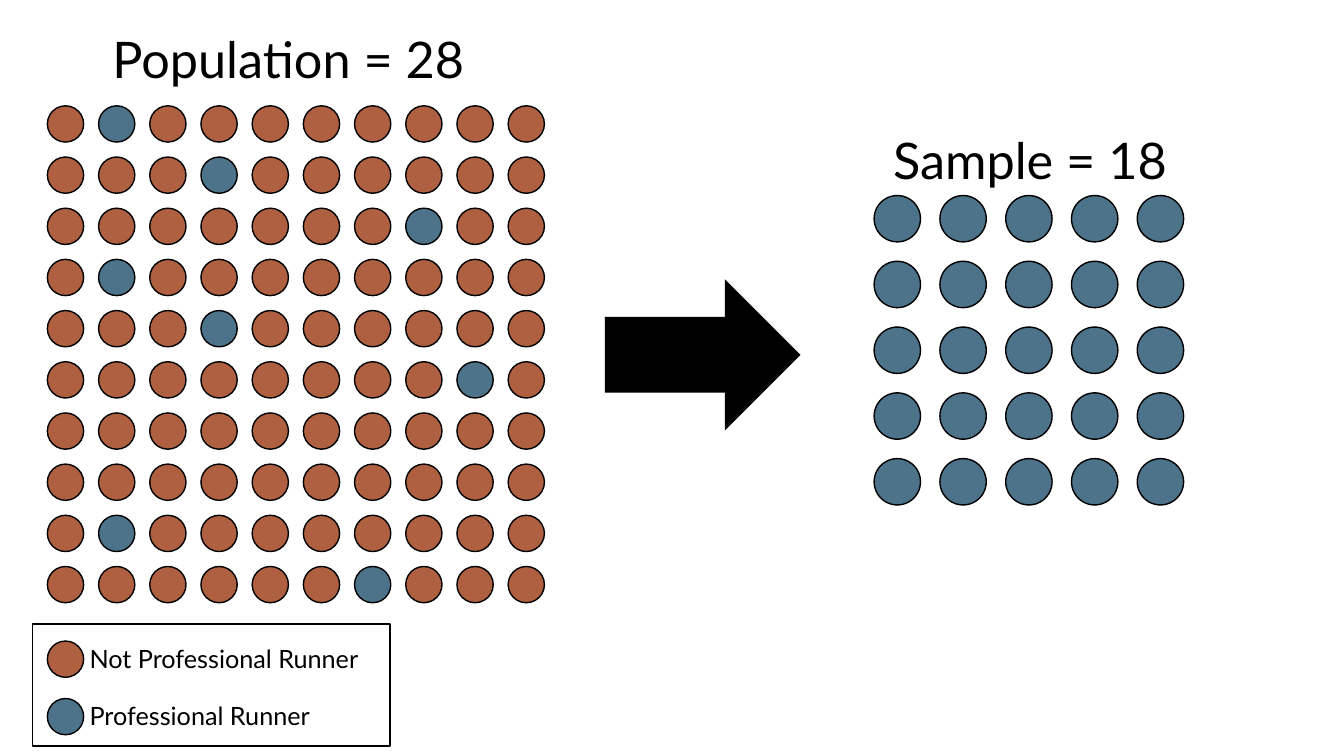
from dataclasses import dataclass
from itertools import product

from pptx import Presentation
from pptx.dml.color import RGBColor
from pptx.enum.shapes import MSO_SHAPE
from pptx.enum.text import MSO_AUTO_SIZE, PP_ALIGN
from pptx.util import Inches, Pt

OVAL, RECTANGLE, ARROW = MSO_SHAPE.OVAL, MSO_SHAPE.RECTANGLE, MSO_SHAPE.RIGHT_ARROW
LEFT, CENTER = PP_ALIGN.LEFT, PP_ALIGN.CENTER
GROW = MSO_AUTO_SIZE.SHAPE_TO_FIT_TEXT


@dataclass(frozen=True)
class Theme:
    font: str = "Lato"
    heading: int = 36
    label: int = 18
    outline: int = 1
    ink: RGBColor = RGBColor(0x00, 0x00, 0x00)
    paper: RGBColor = RGBColor(0xFF, 0xFF, 0xFF)
    other: RGBColor = RGBColor(0xAE, 0x60, 0x41)
    runner: RGBColor = RGBColor(0x4D, 0x73, 0x8A)


theme = Theme()
deck = Presentation()
deck.slide_width, deck.slide_height = Inches(13.33), Inches(7.5)
page = deck.slides.add_slide(deck.slide_layouts[6])


def draw(kind, left, top, width, height, fill, outlined=True):
    shape = page.shapes.add_shape(kind, Inches(left), Inches(top), Inches(width), Inches(height))
    shape.shadow.inherit = False
    shape.fill.solid()
    shape.fill.fore_color.rgb = fill
    if outlined:
        shape.line.color.rgb = theme.ink
        shape.line.width = Pt(theme.outline)
    else:
        shape.line.fill.background()


def write(text, left, top, width, height, size=theme.label, align=LEFT):
    box = page.shapes.add_textbox(Inches(left), Inches(top), Inches(width), Inches(height))
    frame = box.text_frame
    frame.word_wrap = True
    frame.auto_size = GROW
    para = frame.paragraphs[0]
    para.alignment = align
    span = para.add_run()
    span.text = text
    span.font.name = theme.font
    span.font.size = Pt(size)
    span.font.color.rgb = theme.ink


population_left, population_top = 0.47, 1.05
population_count, population_dot = 10, 0.36
population_step = 4.57 / (population_count - 1)
runner_cells = {(0, 1), (1, 3), (2, 7), (3, 1), (4, 3), (5, 8), (8, 1), (9, 6)}
for row, column in product(range(population_count), repeat=2):
    draw(OVAL, population_left + column * population_step, population_top + row * population_step,
         population_dot, population_dot,
         theme.runner if (row, column) in runner_cells else theme.other)

sample_left, sample_top = 8.67, 1.94
sample_count, sample_dot = 5, 0.46
sample_step = 2.61 / (sample_count - 1)
for row, column in product(range(sample_count), repeat=2):
    draw(OVAL, sample_left + column * sample_step, sample_top + row * sample_step,
         sample_dot, sample_dot, theme.runner)

write("Population = 28", 0.14, 0.23, 5.44, 0.71, size=theme.heading, align=CENTER)
write("Sample = 18", 8.59, 1.23, 3.25, 0.71, size=theme.heading, align=CENTER)
draw(ARROW, 6, 2.77, 1.94, 1.5, theme.ink, outlined=False)

legend_top, legend_step = 6.36, 0.57
legend = [("Not Professional Runner", theme.other), ("Professional Runner", theme.runner)]
draw(RECTANGLE, 0.32, 6.19, 3.55, 1.21, theme.paper)
for row, (label, color) in enumerate(legend):
    top = legend_top + row * legend_step
    draw(OVAL, population_left, top, population_dot, population_dot, color)
    write(label, 0.79, top - 0.03, 2.97, 0.4)

deck.save("out.pptx")
